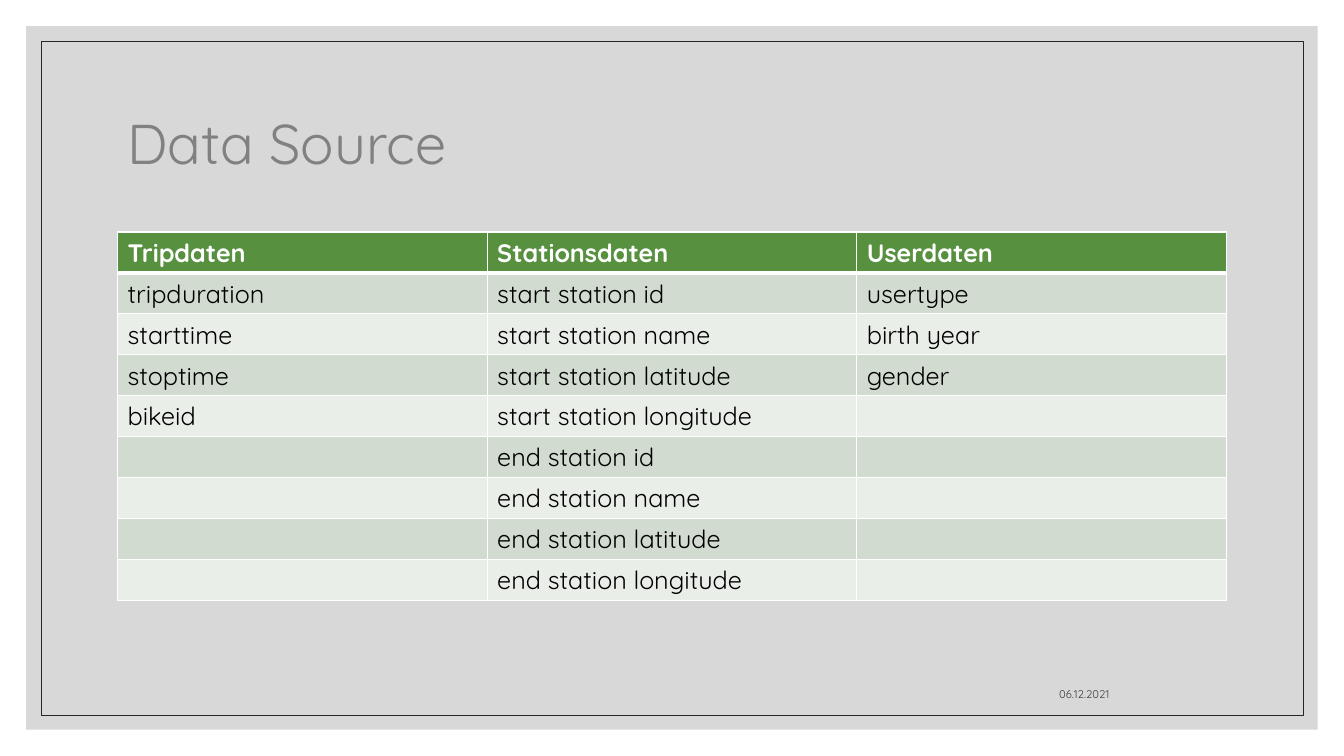
from dataclasses import dataclass
from itertools import zip_longest

from lxml import etree
from pptx import Presentation
from pptx import util as u
from pptx.dml.color import RGBColor
from pptx.enum import shapes, text
from pptx.oxml import ns

PX = 9525


@dataclass(frozen=True)
class Theme:
    """Colours, font and type sizes of the slide."""
    font: str = "Quicksand"
    backdrop: str = "BFBFBF"
    ink: str = "262626"
    muted: str = "404040"
    white: str = "FFFFFF"
    black: str = "000000"
    header: str = "57903F"
    bands: tuple = ("D1DBCF", "EAEEE8")
    title_size: int = 40
    table_size: int = 18
    date_size: int = 8


THEME = Theme()

COLUMNS = {
    "Tripdaten": ["tripduration", "starttime", "stoptime", "bikeid"],
    "Stationsdaten": [
        f"{end} station {field}"
        for end in ("start", "end")
        for field in ("id", "name", "latitude", "longitude")
    ],
    "Userdaten": ["usertype", "birth year", "gender"],
}


def px(*lengths):
    """Turn pixel lengths into EMU."""
    return [u.Emu(length * PX) for length in lengths]


def style_paragraph(paragraph, size, color, bold=False):
    """Set the font of a whole paragraph."""
    font = paragraph.font
    font.name = THEME.font
    font.size = u.Pt(size)
    font.bold = bold
    font.color.rgb = RGBColor.from_string(color)


def add_panel(slide, box, fill=None, alpha=100, line=None):
    """Add a rectangle with an optional see-through fill and thin outline."""
    shape = slide.shapes.add_shape(shapes.MSO_SHAPE.RECTANGLE, *px(*box))
    shape.shadow.inherit = False
    if fill:
        shape.fill.solid()
        shape.fill.fore_color.rgb = RGBColor.from_string(fill)
        color = shape.fill._xPr.find(".//" + ns.qn("a:srgbClr"))
        etree.SubElement(color, ns.qn("a:alpha"), val=str(alpha * 1000))
    else:
        shape.fill.background()
    if line:
        shape.line.color.rgb = RGBColor.from_string(line)
        shape.line.width = u.Pt(0.5)
    else:
        shape.line.fill.background()


def set_title(slide, box, wording):
    """Place and format the title placeholder."""
    title = slide.shapes.title
    title.left, title.top, title.width, title.height = px(*box)
    frame = title.text_frame
    frame.text = wording
    frame.vertical_anchor = text.MSO_ANCHOR.MIDDLE
    paragraph = frame.paragraphs[0]
    paragraph.alignment = text.PP_ALIGN.LEFT
    paragraph.line_spacing = 0.9
    style_paragraph(paragraph, THEME.title_size, THEME.ink)


def add_date(slide, box, wording):
    """Add the small right-aligned date."""
    frame = slide.shapes.add_textbox(*px(*box)).text_frame
    frame.word_wrap = True
    frame.vertical_anchor = text.MSO_ANCHOR.BOTTOM
    frame.text = wording
    paragraph = frame.paragraphs[0]
    paragraph.alignment = text.PP_ALIGN.RIGHT
    style_paragraph(paragraph, THEME.date_size, THEME.muted)


def add_borders(cell, widths):
    """Draw white cell borders, with widths in points by side."""
    properties = cell._tc.get_or_add_tcPr()
    for side, width in widths.items():
        line = etree.SubElement(properties, ns.qn(f"a:ln{side}"), w=str(u.Pt(width)))
        fill = etree.SubElement(line, ns.qn("a:solidFill"))
        etree.SubElement(fill, ns.qn("a:srgbClr"), val=THEME.white)


def format_cell(cell, wording, row):
    """Fill one cell with text, colours and borders by its row."""
    is_header = row == 0
    cell.text = wording
    color = THEME.white if is_header else THEME.black
    style_paragraph(cell.text_frame.paragraphs[0], THEME.table_size, color, is_header)
    add_borders(cell, {"L": 1, "R": 1, "T": 3 if row == 1 else 1, "B": 3 if is_header else 1})
    cell.fill.solid()
    fill = THEME.header if is_header else THEME.bands[(row - 1) % 2]
    cell.fill.fore_color.rgb = RGBColor.from_string(fill)


def add_data_table(slide, box, columns):
    """Add a banded table with one column per heading."""
    rows = [list(columns), *zip_longest(*columns.values(), fillvalue="")]
    table = slide.shapes.add_table(len(rows), len(columns), *px(*box)).table
    for row, wordings in enumerate(rows):
        for column, wording in enumerate(wordings):
            format_cell(table.cell(row, column), wording, row)


def main():
    """Build the slide and save it."""
    presentation = Presentation()
    presentation.slide_width, presentation.slide_height = px(1280, 720)
    slide = presentation.slides.add_slide(presentation.slide_layouts[5])
    add_panel(slide, (25, 25, 1230, 670), fill=THEME.backdrop, alpha=60)
    add_panel(slide, (39, 39, 1202, 642), line=THEME.ink)
    set_title(slide, (112, 67, 1056, 144), "Data Source")
    add_date(slide, (762, 634, 304, 38), "06.12.2021")
    add_data_table(slide, (112, 221, 1056, 351), COLUMNS)
    presentation.save("out.pptx")


if __name__ == "__main__":
    main()
